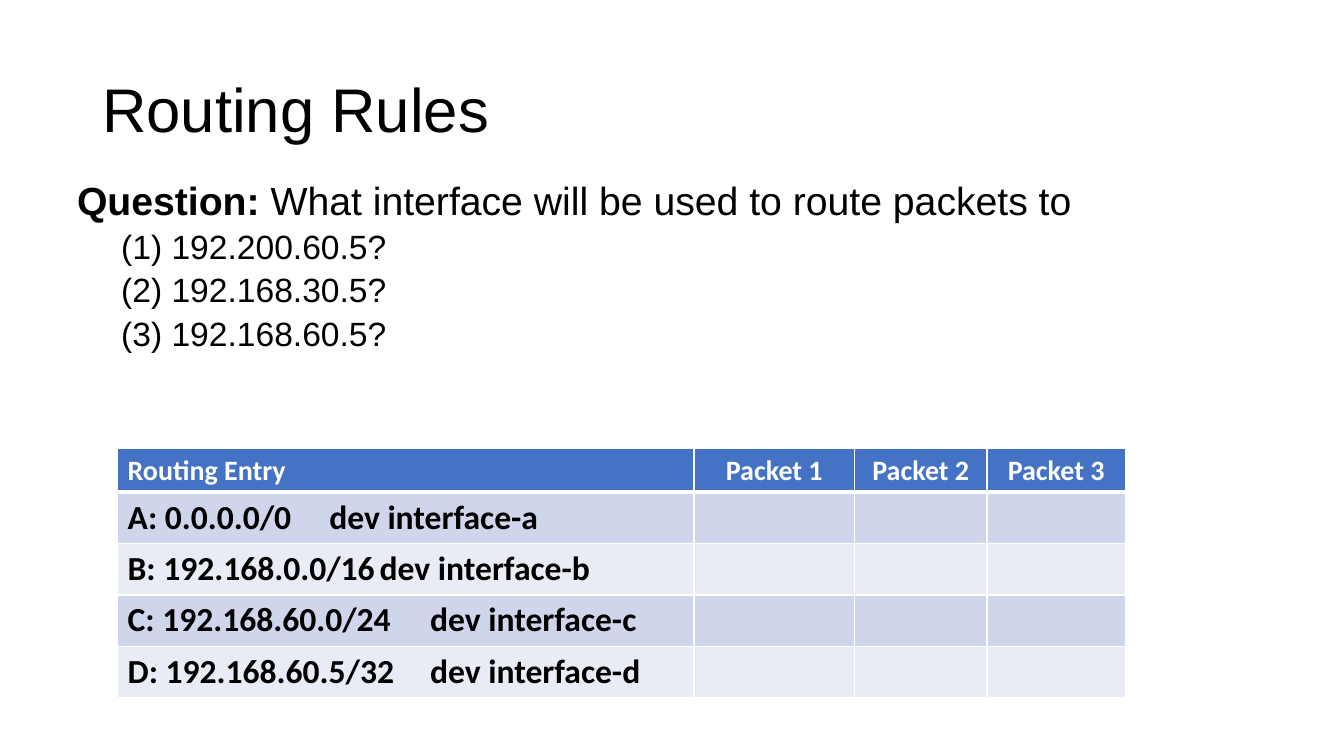
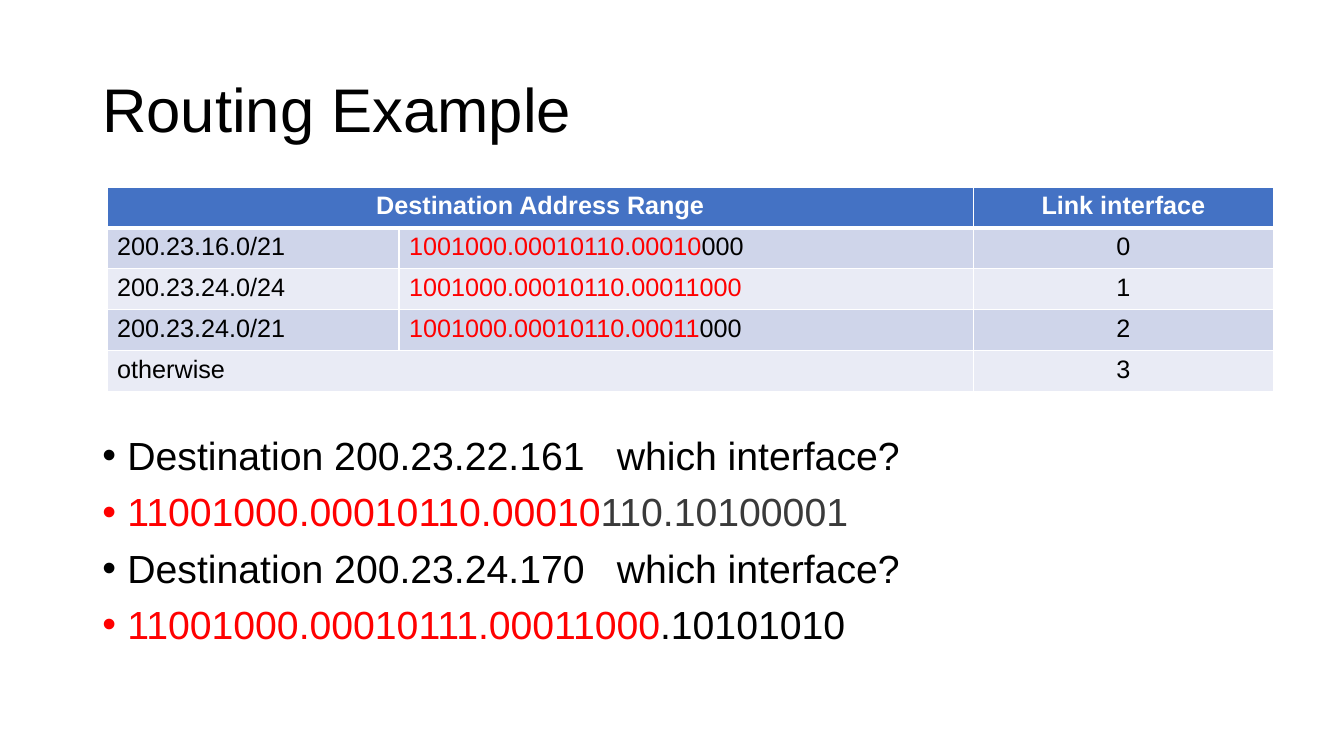
from lxml.etree import SubElement
from pptx import Presentation
from pptx.dml.color import RGBColor
from pptx.enum.text import MSO_ANCHOR, PP_ALIGN
from pptx.oxml.ns import qn
from pptx.util import Pt

SCALE = 9525
COLORS = {
    "black": "000000",
    "white": "FFFFFF",
    "red": "FF0000",
    "gray": "3A3A3A",
    "head": "4472C4",
    "odd": "CFD5EA",
    "even": "E9EBF5",
}


def px(length):
    return length * SCALE


def tint(name):
    return RGBColor.from_string(COLORS[name])


def write(para, text, size=28, color="black", bold=False, font="Arial",
          align=PP_ALIGN.LEFT, line=None, before=0, left=0, bullet=None, tab=None):
    props = para._p.get_or_add_pPr()
    props.set("marL", str(px(left)))
    props.set("indent", str(px(-left if bullet else 0)))
    if bullet:
        SubElement(props, qn("a:buFont"), typeface="Arial")
        SubElement(props, qn("a:buChar"), char=bullet)
    if tab:
        stops = SubElement(props, qn("a:tabLst"))
        SubElement(stops, qn("a:tab"), pos=str(px(tab)), algn="l")
    para.alignment = align
    para.space_before = Pt(before)
    if line:
        para.line_spacing = line
    pieces = [(text, {})] if isinstance(text, str) else text
    for words, style in pieces:
        run = para.add_run()
        run.text = words
        run.font.name = font
        run.font.size = Pt(size)
        run.font.bold = style.get("bold", bold)
        run.font.color.rgb = tint(style.get("color", color))


def add_box(slide, place, lines, anchor=MSO_ANCHOR.TOP):
    frame = slide.shapes.add_textbox(*map(px, place)).text_frame
    frame.word_wrap = True
    frame.vertical_anchor = anchor
    for index, (text, style) in enumerate(lines):
        para = frame.add_paragraph() if index else frame.paragraphs[0]
        write(para, text, line=0.9, **style)


def add_slide(deck, title):
    slide = deck.slides.add_slide(deck.slide_layouts[6])
    add_box(slide, (88, 38, 1104, 139), [(title, {"size": 44})], MSO_ANCHOR.MIDDLE)
    return slide


def add_edge(cell, side, width):
    props = cell._tc.get_or_add_tcPr()
    edge = SubElement(props, qn("a:ln" + side), w=str(Pt(width)))
    fill = SubElement(edge, qn("a:solidFill"))
    SubElement(fill, qn("a:srgbClr"), val=COLORS["white"])


def add_grid(slide, left, top, widths, heights, rows, head, body, merged=()):
    grid = slide.shapes.add_table(
        len(rows), len(widths), px(left), px(top), px(sum(widths)), px(sum(heights))
    ).table
    grid.first_row = grid.horz_banding = False
    for column, width in zip(grid.columns, widths):
        column.width = px(width)
    for y, (height, row) in enumerate(zip(heights, rows)):
        grid.rows[y].height = px(height)
        band = "head" if y == 0 else "odd" if y % 2 else "even"
        for x, text in enumerate(row):
            cell = grid.cell(y, x)
            for side in "LRTB":
                thick = (y, side) in ((0, "B"), (1, "T"))
                add_edge(cell, side, 3 if thick else 1)
            cell.fill.solid()
            cell.fill.fore_color.rgb = tint(band)
            if text:
                center = x == len(row) - 1 or y == 0 and (x or y in merged)
                align = PP_ALIGN.CENTER if center else PP_ALIGN.LEFT
                para = cell.text_frame.paragraphs[0]
                write(para, text, align=align, **(body if y else head))
    for y in merged:
        grid.cell(y, 0).merge(grid.cell(y, 1))


def add_rules(deck):
    slide = add_slide(deck, "Routing Rules")
    item = {"size": 24, "left": 42, "before": 5}
    hosts = ("192.200.60.5", "192.168.30.5", "192.168.60.5")
    ask = [("Question: ", {"bold": True}),
           ("What interface will be used to route packets to", {})]
    add_box(slide, (64, 168, 1152, 240), [(ask, {})] + [
        (f"({count}) {host}?", item) for count, host in enumerate(hosts, 1)])
    routes = ("0.0.0.0/0", "192.168.0.0/16", "192.168.60.0/24", "192.168.60.5/32")
    rows = [("Routing Entry", "Packet 1", "Packet 2", "Packet 3")] + [
        (f"{key}: {route}\tdev interface-{key.lower()}", "", "", "")
        for key, route in zip("ABCD", routes)]
    add_grid(slide, 112, 427, (549, 153, 126, 132), [41] + [49] * 4, rows,
             head={"size": 20, "color": "white", "bold": True, "font": "Calibri"},
             body={"size": 24, "bold": True, "font": "Calibri", "tab": 279})


def add_sample(deck):
    slide = add_slide(deck, "Routing Example")
    red = {"color": "red"}
    rows = [
        ("Destination Address Range", "", "Link interface"),
        ("200.23.16.0/21", [("1001000.00010110.00010", red), ("000", {})], "0"),
        ("200.23.24.0/24", [("1001000.00010110.00011000", red)], "1"),
        ("200.23.24.0/21", [("1001000.00010110.00011", red), ("000", {})], "2"),
        ("otherwise", "", "3"),
    ]
    add_grid(slide, 102, 178, (278, 547, 286), [39] * 5, rows,
             head={"size": 18, "color": "white", "bold": True},
             body={"size": 18}, merged=(0, 4))
    lines = [
        "Destination 200.23.22.161\twhich interface?",
        [("11001000.00010110.00010", red), ("110.10100001", {"color": "gray"})],
        "Destination 200.23.24.170\twhich interface?",
        [("11001000.00010111.00011000", red), (".10101010", {})],
    ]
    add_box(slide, (88, 411, 1104, 238), [
        (line, {"left": 24, "bullet": "•", "tab": 490, "before": 10 if index else 0})
        for index, line in enumerate(lines)])


def main():
    deck = Presentation()
    deck.slide_width, deck.slide_height = px(1280), px(720)
    add_rules(deck)
    add_sample(deck)
    deck.save("out.pptx")


if __name__ == "__main__":
    main()
